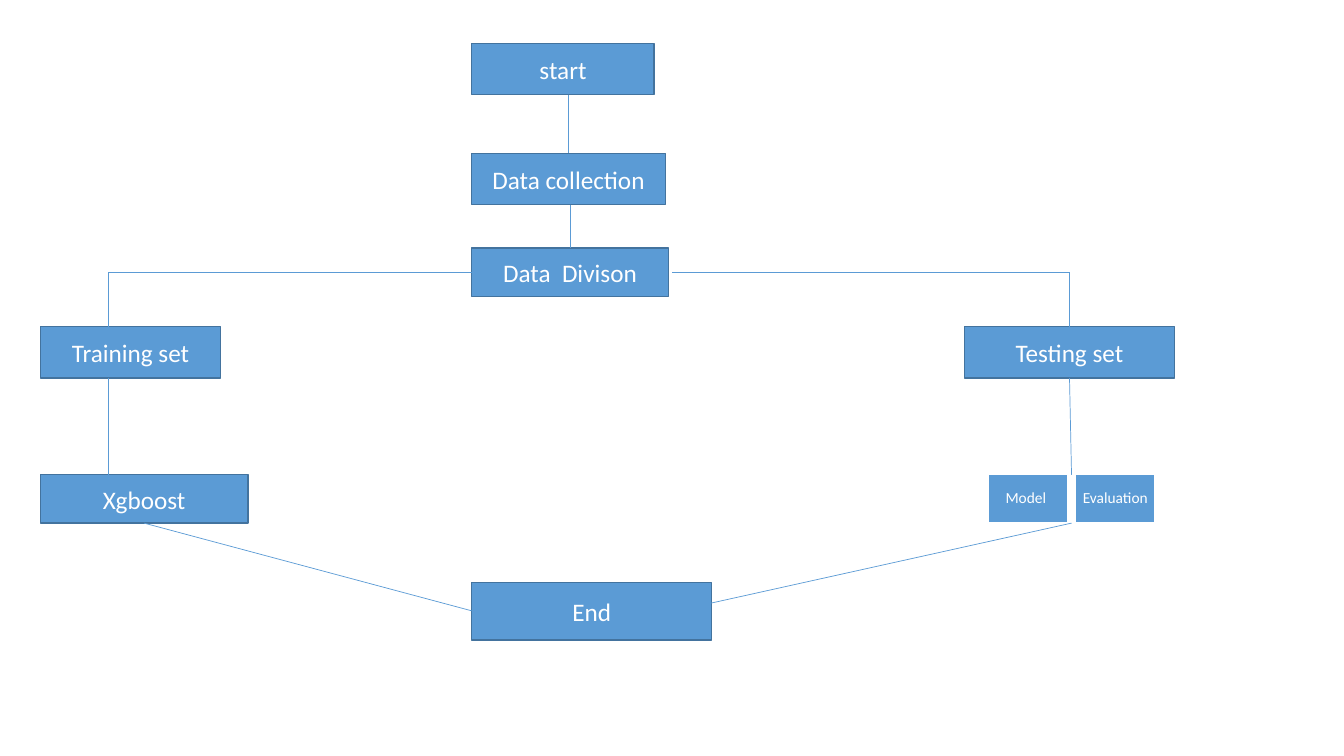
from lxml.etree import SubElement
from pptx import Presentation
from pptx.dml.color import RGBColor
from pptx.enum.shapes import MSO_CONNECTOR, MSO_SHAPE
from pptx.enum.text import MSO_ANCHOR, PP_ALIGN
from pptx.oxml.ns import qn
from pptx.util import Inches, Pt

BLUE = RGBColor(0x5B, 0x9B, 0xD5)
NAVY = RGBColor(0x43, 0x73, 0x9E)
WHITE = RGBColor(0xFF, 0xFF, 0xFF)

COLS, ROWS = 133.33, 75  # grid cells across and down the slide


def assign(target, values):
    for name, value in values.items():
        setattr(target, name, value)


class Chart:
    """Draws flow chart parts on one slide, measured in grid cells."""

    font = {"name": "Calibri", "size": Pt(18)}
    small = {"size": Pt(11)}
    frame = {"vertical_anchor": MSO_ANCHOR.MIDDLE, "word_wrap": True}
    tight = dict.fromkeys(
        ("margin_left", "margin_right", "margin_top", "margin_bottom"),
        Inches(0.05))

    def __init__(self, deck):
        self.slide = deck.slides.add_slide(deck.slide_layouts[6])
        self.col = deck.slide_width / COLS
        self.row = deck.slide_height / ROWS

    def place(self, *cells):
        """Turn alternating column and row counts into lengths."""
        units = (self.col, self.row) * 2
        return [round(cell * unit) for cell, unit in zip(cells, units)]

    def box(self, text, cells, edge=NAVY, font=None, frame=None, gap=None):
        shape = self.slide.shapes.add_shape(
            MSO_SHAPE.RECTANGLE, *self.place(*cells))
        shape.shadow.inherit = False
        shape.fill.solid()
        shape.fill.fore_color.rgb = BLUE
        shape.line.color.rgb = edge
        shape.line.width = Pt(1)
        assign(shape.text_frame, {**self.frame, **(frame or {})})
        par = shape.text_frame.paragraphs[0]
        assign(par, {"text": text, "alignment": PP_ALIGN.CENTER,
                     "line_spacing": gap})
        assign(par.font, {**self.font, **(font or {})})
        par.font.color.rgb = WHITE

    def half(self, text, cells):
        """Draw one of the small boxes that share a step."""
        self.box(text, cells, WHITE, self.small, self.tight, 0.9)

    def link(self, *ends):
        line = self.slide.shapes.add_connector(
            MSO_CONNECTOR.STRAIGHT, *self.place(*ends))
        line.line.color.rgb = BLUE
        line.line.width = Pt(0.5)
        SubElement(line._element.spPr, qn("a:effectLst"))


def main():
    deck = Presentation()
    assign(deck, {"slide_width": Inches(13.33), "slide_height": Inches(7.5)})
    chart = Chart(deck)

    left, mid = 4, 46.8
    fork, split, end = 27, 32.4, 47.1
    train, test, model = 10.8, 106.1, 106.3

    for text, *cells in (
        ("start", mid, 4.3, 18.1, 5.1),
        ("Data collection", mid, 15.2, 19.2, 5.1),
        ("Data  Divison", mid, 24.6, 19.5, 4.8),
        ("Training set", left, split, 17.9, 5.1),
        ("Testing set", 95.7, split, 20.8, 5.1),
        ("Xgboost", left, end, 20.6, 4.8),
        ("End", mid, 57.8, 23.8, 5.7),
    ):
        chart.box(text, cells)

    for i, text in enumerate(("Model ", "Evaluation")):
        chart.half(text, (98 + 8.7 * i, end, 7.9, 4.8))

    for ends in (
        (56.4, 9.4, 56.4, 15.2),
        (56.6, 20.3, 56.6, 24.6),
        (mid, fork, train, fork),
        (66.7, fork, test, fork),
        (test, fork, test, split),
        (test, 37.5, model, end),
        (train, fork, train, split),
        (train, 37.5, train, end),
        (14.3, 51.9, mid, 60.6),
        (model, 51.9, 68.9, 60.2),
    ):
        chart.link(*ends)

    deck.save("out.pptx")


if __name__ == "__main__":
    main()
